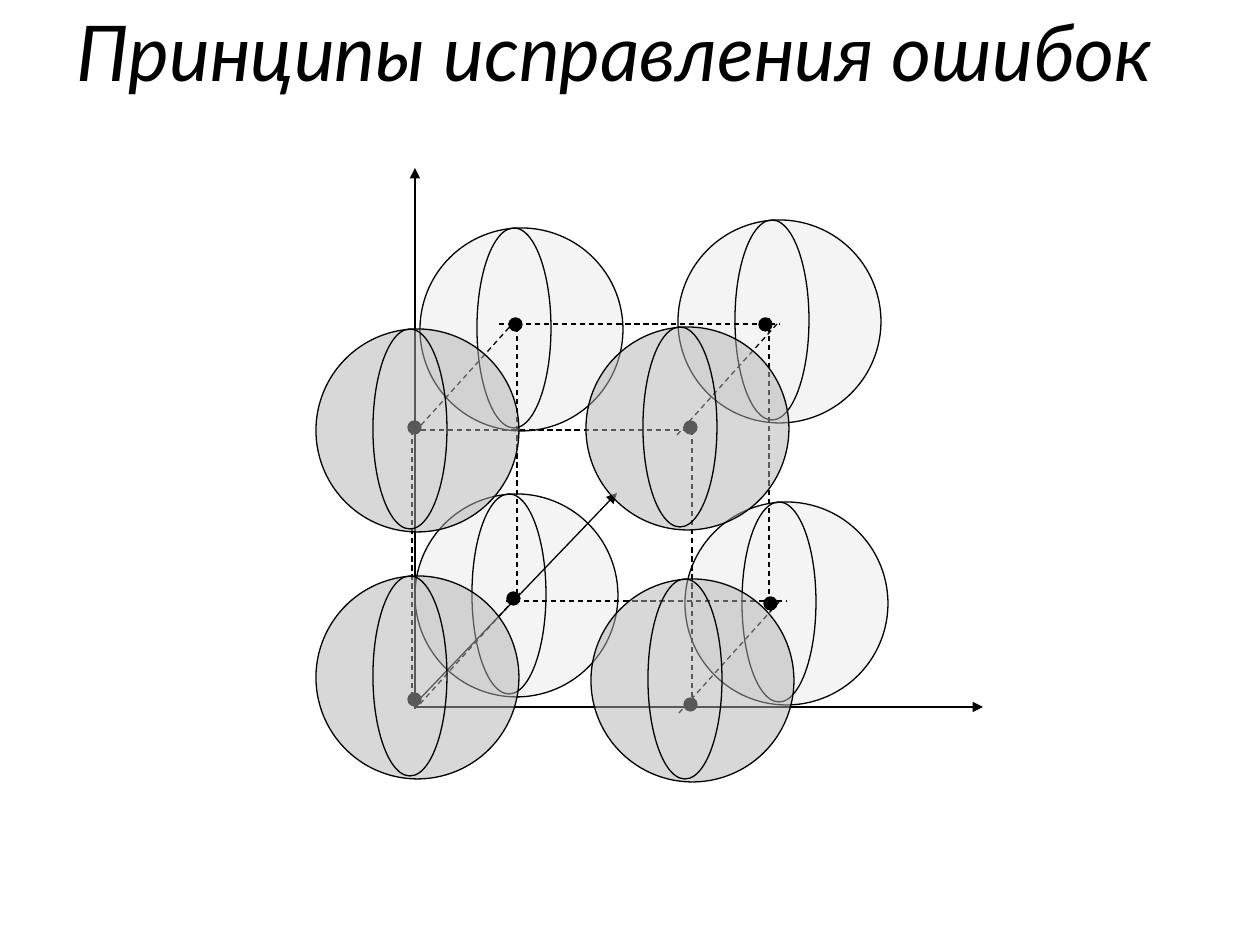
from lxml import etree
from pptx import Presentation
from pptx.dml.color import RGBColor
from pptx.enum.dml import MSO_LINE
from pptx.enum.shapes import MSO_CONNECTOR, MSO_SHAPE
from pptx.enum.text import MSO_ANCHOR, PP_ALIGN
from pptx.oxml.ns import qn
from pptx.util import Pt

PX = 914400 / 126
BLACK = RGBColor(0, 0, 0)
LIGHT = RGBColor(0xEA, 0xEA, 0xEA)
GREY = RGBColor(0xB2, 0xB2, 0xB2)

SPHERE = 203
MERIDIAN_OFFSET, MERIDIAN_W, MERIDIAN_H = 57, 74, 200
DOT = 13
EDGE = 280
DEPTH_X, DEPTH_Y = 100, -111

BACK_SPHERES = [(415, 494), (685, 502), (678, 220), (420, 228)]
FRONT_SPHERES = [(316, 329), (316, 576), (591, 579), (586, 327)]
AXES = [(415, 707, 983, 707), (415, 709, 415, 168), (413, 706, 617, 493)]
VERTICES = [(509, 318), (408, 421), (684, 421), (759, 318),
            (507, 592), (408, 693), (684, 698), (764, 597)]
# Start points of the cube edges, grouped by the direction they share
CUBE_EDGES = {
    (0, EDGE): [(412, 421), (517, 318), (769, 318), (692, 421)],
    (EDGE, 0): [(412, 430), (417, 707), (499, 324), (506, 601)],
    (DEPTH_X, DEPTH_Y): [(415, 432), (677, 435), (420, 704), (679, 713)],
}


def emu(*lengths):
    return [round(n * PX) for n in lengths]


def style_line(line):
    line.color.rgb = BLACK
    line.width = Pt(0.75)


def add_ellipse(slide, x, y, w, h, color=None, alpha=None):
    sp = slide.shapes.add_shape(MSO_SHAPE.OVAL, *emu(x, y, w, h))
    sp.shadow.inherit = False
    style_line(sp.line)
    if color is None:
        sp.fill.background()
        return
    sp.fill.solid()
    sp.fill.fore_color.rgb = color
    if alpha is not None:
        clr = sp.element.spPr.find(qn("a:solidFill")).find(qn("a:srgbClr"))
        etree.SubElement(clr, qn("a:alpha"), val=str(alpha * 1000))


def add_sphere(slide, x, y, color):
    add_ellipse(slide, x, y, SPHERE, SPHERE, color, alpha=50)
    add_ellipse(slide, x + MERIDIAN_OFFSET, y, MERIDIAN_W, MERIDIAN_H)


def add_line(slide, x1, y1, x2, y2, dashed=False, arrow=False):
    cn = slide.shapes.add_connector(MSO_CONNECTOR.STRAIGHT, *emu(x1, y1, x2, y2))
    style_line(cn.line)
    if dashed:
        cn.line.dash_style = MSO_LINE.DASH
    sp_pr = cn.element.spPr
    if arrow:
        etree.SubElement(sp_pr.find(qn("a:ln")), qn("a:tailEnd"), type="triangle")
    etree.SubElement(sp_pr, qn("a:effectLst"))


def add_title(slide, text):
    tf = slide.shapes.add_textbox(*emu(0, 31, 1230, 103)).text_frame
    tf.word_wrap = True
    tf.vertical_anchor = MSO_ANCHOR.TOP
    p = tf.paragraphs[0]
    p.text = text
    p.alignment = PP_ALIGN.CENTER
    p.line_spacing = 0.6
    p.font.name = "Lato"
    p.font.size = Pt(44)
    p.font.italic = True
    p.font.color.rgb = BLACK


def main():
    prs = Presentation()
    prs.slide_width, prs.slide_height = emu(1260, 945)
    slide = prs.slides.add_slide(prs.slide_layouts[6])

    for x, y in BACK_SPHERES:
        add_sphere(slide, x, y, LIGHT)
    add_title(slide, "Принципы исправления ошибок")
    for axis in AXES:
        add_line(slide, *axis, arrow=True)
    for x, y in VERTICES:
        add_ellipse(slide, x, y, DOT, DOT, BLACK)
    for (dx, dy), starts in CUBE_EDGES.items():
        for x, y in starts:
            add_line(slide, x, y, x + dx, y + dy, dashed=True)
    for x, y in FRONT_SPHERES:
        add_sphere(slide, x, y, GREY)

    prs.save("out.pptx")


if __name__ == "__main__":
    main()
